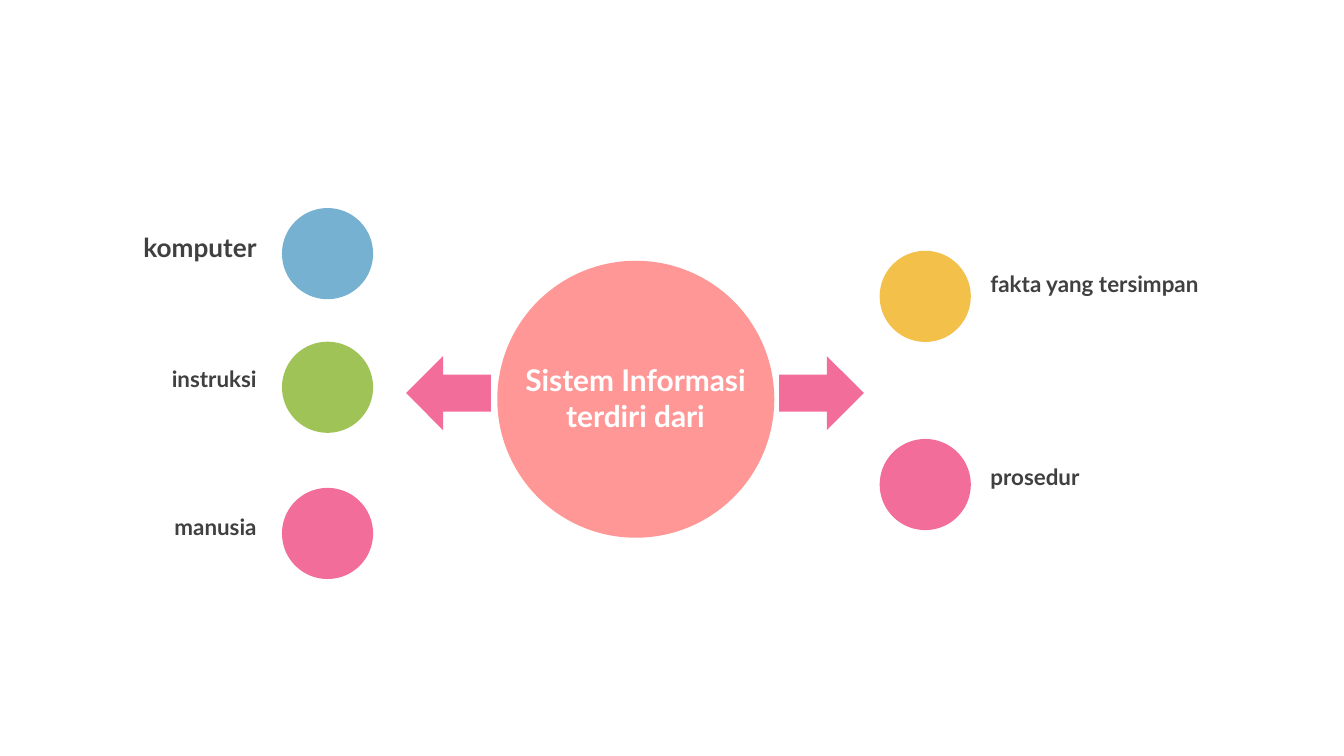
from dataclasses import dataclass

from pptx import Presentation
from pptx.dml.color import RGBColor as RGB
from pptx.enum.shapes import MSO_SHAPE as Shape
from pptx.enum.text import MSO_ANCHOR as Anchor, MSO_AUTO_SIZE as Fit, PP_ALIGN as Align
from pptx.util import Pt


@dataclass(frozen=True)
class Theme:
    font: str = "Lato"
    ink: str = "404040"
    white: str = "FFFFFF"
    coral: str = "FF9797"
    pink: str = "F26D9A"
    blue: str = "76B1D1"
    green: str = "A0C358"
    gold: str = "F3C04A"
    head: int = 16
    large: int = 14
    body: int = 12


def write(frame, text, *, font, size, color, align=Align.LEFT, anchor=Anchor.TOP):
    """Fill a frame with one bold paragraph; newlines become line breaks."""
    frame.word_wrap = True
    frame.vertical_anchor = anchor
    par = frame.paragraphs[0]
    par.alignment = align
    for i, line in enumerate(text.split("\n")):
        if i:
            par.add_line_break()
        run = par.add_run()
        run.text = line
        run.font.name = font
        run.font.size = Pt(size)
        run.font.bold = True
        run.font.color.rgb = RGB.from_string(color)


class Page:
    def __init__(self, slide, theme):
        self.slide = slide
        self.theme = theme

    def shape(self, kind, x, y, w, h, color):
        item = self.slide.shapes.add_shape(kind, Pt(x), Pt(y), Pt(w), Pt(h))
        item.shadow.inherit = False
        item.fill.solid()
        item.fill.fore_color.rgb = RGB.from_string(color)
        item.line.fill.background()

    def disc(self, x, y, size, color):
        self.shape(Shape.OVAL, x, y, size, size, color)

    def label(self, text, x, y, w, size, align):
        box = self.slide.shapes.add_textbox(Pt(x), Pt(y), Pt(w), Pt(size * 1.2 + 7.2))
        write(box.text_frame, text, font=self.theme.font, size=size,
              color=self.theme.ink, align=align)
        box.text_frame.auto_size = Fit.SHAPE_TO_FIT_TEXT

    def title(self, text, x, y, w, h):
        """Place the title in front of everything drawn so far."""
        item = self.slide.shapes.title
        item.left, item.top, item.width, item.height = Pt(x), Pt(y), Pt(w), Pt(h)
        write(item.text_frame, text, font=self.theme.font, size=self.theme.head,
              color=self.theme.white, align=Align.CENTER, anchor=Anchor.MIDDLE)
        item.text_frame.auto_size = Fit.NONE
        self.slide.shapes.element.append(item.element)


def main():
    deck = Presentation()
    deck.slide_width, deck.slide_height = Pt(720), Pt(405)
    theme = Theme()
    page = Page(deck.slides.add_slide(deck.slide_layouts[5]), theme)

    page.disc(266.4, 139.7, 148.4, theme.coral)
    page.title("Sistem Informasi\nterdiri dari", 267, 182.2, 147, 61.2)
    for kind, x in ((Shape.LEFT_ARROW, 217.6), (Shape.RIGHT_ARROW, 417.4)):
        page.shape(kind, x, 190.8, 45.4, 39.6, theme.pink)

    dot = 48.8
    left = (
        ("komputer", 111.5, 120.2, theme.blue, theme.large),
        ("instruksi", 183.1, 192.2, theme.green, theme.body),
        ("manusia", 261.4, 271.4, theme.pink, theme.body),
    )
    for text, y, top, color, size in left:
        page.disc(151.1, y, dot, color)
        page.label(text, 0, top, 144.6, size, Align.RIGHT)

    right = (
        ("fakta yang tersimpan", 134.4, 141.1, theme.gold),
        ("prosedur", 235.2, 244.8, theme.pink),
    )
    for text, y, top, color in right:
        page.disc(471.3, y, dot, color)
        page.label(text, 523.5, top, 190, theme.body, Align.LEFT)

    deck.save("out.pptx")


if __name__ == "__main__":
    main()
